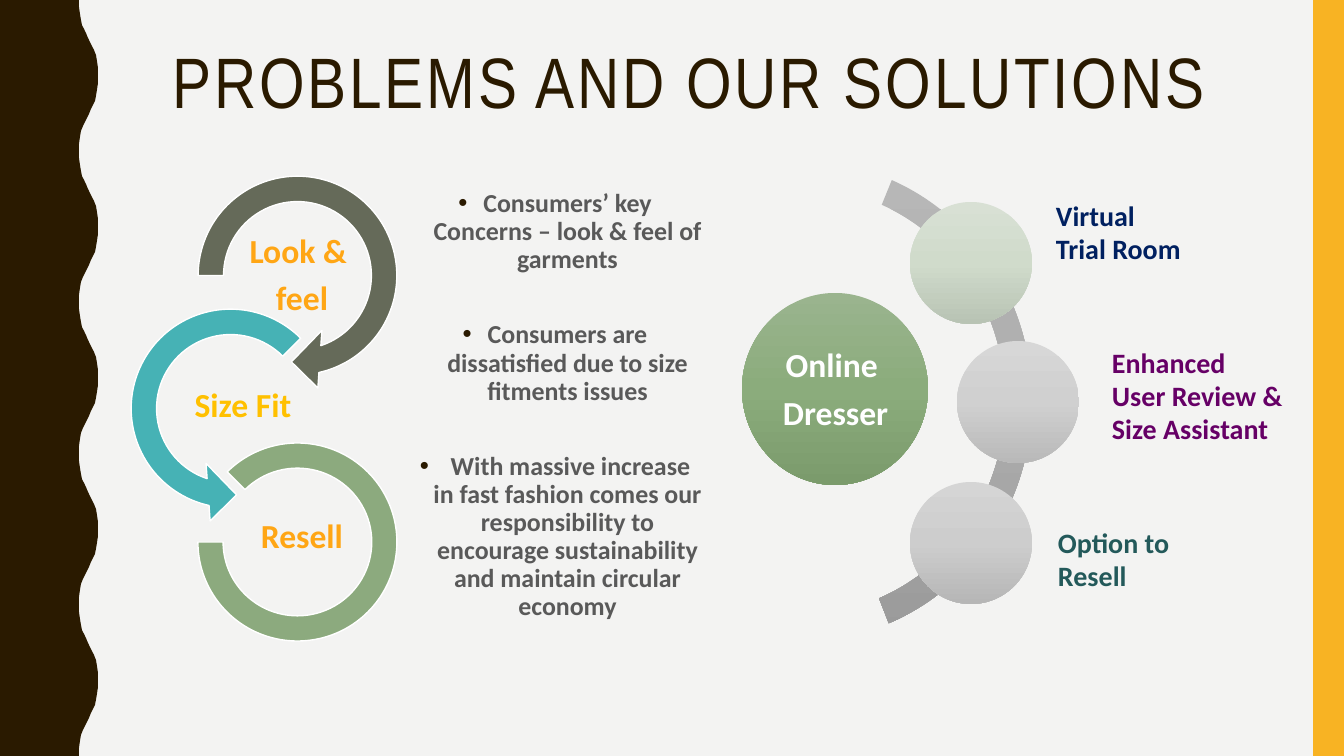
"""Build a slide that pairs shopping problems with an online dresser's solutions."""
from copy import deepcopy
from dataclasses import dataclass

from lxml import etree
from pptx import Presentation
from pptx.dml.color import RGBColor
from pptx.enum.shapes import MSO_SHAPE
from pptx.enum.text import MSO_ANCHOR, PP_ALIGN
from pptx.oxml.ns import qn
from pptx.util import Emu, Pt

RECT, OVAL, ARC = MSO_SHAPE.RECTANGLE, MSO_SHAPE.OVAL, MSO_SHAPE.BLOCK_ARC
TURN, BACK = MSO_SHAPE.CIRCULAR_ARROW, MSO_SHAPE.LEFT_CIRCULAR_ARROW
TOP, MID = MSO_ANCHOR.TOP, MSO_ANCHOR.MIDDLE
LEFT, CENTER = PP_ALIGN.LEFT, PP_ALIGN.CENTER

SCALE = 914400 / 100.8
WIDE, HIGH = 1344, 756
DARK, GOLD, PALE, WHITE = "2A1A00", "F8B323", "F3F3F2", "FFFFFF"
AMBER, GREY = "FFA615", "595959"
WAVES = 5
CURVE = ((0, 79), (7, 79), (14, 80), (20, 81), (25, 82), (29, 84), (33, 86), (38, 88),
         (42, 90), (46, 92), (50, 94), (55, 96), (61, 97), (68, 98))
CREST = 79 + 98


@dataclass(frozen=True)
class Form:
    kind: int
    box: tuple[int, int, int, int]
    fills: tuple[str, ...]
    adjust: tuple[float, ...] = ()
    edge: str = ""


@dataclass(frozen=True)
class Label:
    box: tuple[int, int, int, int]
    lines: tuple[str, ...]
    size: float
    color: str
    align: int = CENTER
    anchor: int = TOP
    inset: tuple[int, int] = (10, 5)
    before: float = 0
    after: float = 0
    font: str = "Calibri"
    bold: bool = True
    track: int = 0
    bullet: str = ""


def ring(kind: int, box: tuple[int, int, int, int], fill: str, *adjust: float) -> Form:
    return Form(kind, box, (fill,), adjust, WHITE)


def ball(left: int, top: int, *fills: str) -> Form:
    return Form(OVAL, (left, top, 122, 122), fills)


def loop(left: int, top: int, high: int, color: str, *lines: str) -> Label:
    return Label((left, top, 200, high), lines, 24, color, after=8)


def answer(left: int, top: int, color: str, *lines: str) -> Label:
    return Label((left, top, 200, 118), lines, 20, color, LEFT, MID, (4, 4), after=2)


FORMS = (
    Form(RECT, (1313, 0, 31, HIGH), (GOLD,)),
    ring(TURN, (182, 160, 231, 231), "656A59", 0.11, 11.42, 45, 108, 0.125),
    ring(BACK, (115, 293, 231, 231), "46B2B5", 0.11, 11.42, 63, 189, 0.125),
    ring(ARC, (198, 443, 199, 198), "8CAA7E", 135, 108, 0.127),
    Form(OVAL, (742, 293, 186, 192), ("9AB48E", "8BAC7C", "7B9B6C")),
    Form(ARC, (572, 161, 460, 480), ("B7B7B7", "ADADAD", "9A9A9A"), (175.28, 41.19, 0.058)),
    ball(910, 202, "D8E0D4", "D0DBCB", "B8C3B4"),
    ball(957, 341, "D7D7D7", "D0D0D0", "B9B9B9"),
    ball(910, 482, "D5D5D5", "CDCDCD", "B6B6B6"),
)

LABELS = (
    Label((138, 42, 1122, 112), ("PROBLEMS AND OUR SOLUTIONS ",), 51, DARK,
          font="Arial Narrow", bold=False, track=200),
    Label((398, 185, 314, 549), (
        "Consumers’ key Concerns – look & feel of garments",
        "Consumers are dissatisfied due to size fitments issues",
        " With massive increase in fast fashion comes our responsibility to encourage "
        "sustainability and maintain circular economy",
    ), 18.5, GREY, before=34, bullet="•"),
    loop(202, 229, 98, AMBER, "Look & ", "feel"),
    loop(143, 383, 46, "FFC000", "Size Fit"),
    loop(202, 514, 46, AMBER, "Resell"),
    Label((749, 347, 173, 87), ("Online ", "Dresser"), 24, WHITE,
          anchor=MID, inset=(4, 4), after=8),
    answer(1052, 175, "002060", "Virtual", "Trial Room"),
    answer(1108, 338, "660066", "Enhanced", "User Review &", "Size Assistant"),
    answer(1054, 502, "23595A", "Option to", "Resell"),
)


def px(size: float) -> Emu:
    return Emu(round(size * SCALE))


def paint(code: str) -> RGBColor:
    return RGBColor.from_string(code)


def shade(shape, fills: tuple[str, ...]) -> None:
    fill = shape.fill
    if len(fills) == 1:
        fill.solid()
        fill.fore_color.rgb = paint(fills[0])
        return
    fill.gradient()
    fill.gradient_angle = 270
    stops = next(shape._element.spPr.iter(qn("a:gsLst")))
    while len(stops) < len(fills):
        stops.insert(1, deepcopy(stops[0]))
    for i, (stop, code) in enumerate(zip(fill.gradient_stops, fills)):
        stop.position = i / (len(fills) - 1)
        stop.color.rgb = paint(code)


def finish(shape, fills: tuple[str, ...], edge: str = "") -> None:
    shape.shadow.inherit = False
    shade(shape, fills)
    if edge:
        shape.line.color.rgb = paint(edge)
        shape.line.width = Pt(1)
    else:
        shape.line.fill.background()


def draw_wave(slide) -> None:
    half = HIGH / (2 * WAVES)
    points = [(CREST - x if n % 2 else x, round(n * half + y))
              for n in range(2 * WAVES) for y, x in CURVE]
    pen = slide.shapes.build_freeform(0, 0, scale=SCALE)
    pen.add_line_segments(points + [(CURVE[0][1], HIGH), (0, HIGH)], close=True)
    finish(pen.convert_to_shape(), (DARK,))


def draw_form(slide, form: Form) -> None:
    shape = slide.shapes.add_shape(form.kind, *map(px, form.box))
    for i, value in enumerate(form.adjust):
        shape.adjustments[i] = value
    finish(shape, form.fills, form.edge)


def add_bullet(para, mark: str) -> None:
    props = para._p.get_or_add_pPr()
    props.set("marL", str(px(25)))
    props.set("indent", str(px(-25)))
    color = etree.SubElement(props, qn("a:buClr"))
    etree.SubElement(color, qn("a:srgbClr")).set("val", DARK)
    etree.SubElement(props, qn("a:buFont")).set("typeface", "Arial")
    etree.SubElement(props, qn("a:buChar")).set("char", mark)


def draw_label(slide, label: Label) -> None:
    frame = slide.shapes.add_textbox(*map(px, label.box)).text_frame
    frame.word_wrap = True
    frame.vertical_anchor = label.anchor
    side, edge = map(px, label.inset)
    frame.margin_left = frame.margin_right = side
    frame.margin_top = frame.margin_bottom = edge
    for i, line in enumerate(label.lines):
        para = frame.add_paragraph() if i else frame.paragraphs[0]
        para.alignment = label.align
        para.line_spacing = 0.9
        para.space_before = Pt(label.before if i else 0)
        para.space_after = Pt(label.after)
        if label.bullet:
            add_bullet(para, label.bullet)
        run = para.add_run()
        run.text = line
        font = run.font
        font.name, font.size, font.bold = label.font, Pt(label.size), label.bold
        font.color.rgb = paint(label.color)
        if label.track:
            run._r.get_or_add_rPr().set("spc", str(label.track))


def main() -> None:
    deck = Presentation()
    deck.slide_width, deck.slide_height = px(WIDE), px(HIGH)
    slide = deck.slides.add_slide(deck.slide_layouts[6])
    back = slide.background.fill
    back.solid()
    back.fore_color.rgb = paint(PALE)
    draw_wave(slide)
    for form in FORMS:
        draw_form(slide, form)
    for label in LABELS:
        draw_label(slide, label)
    deck.save("out.pptx")


if __name__ == "__main__":
    main()
